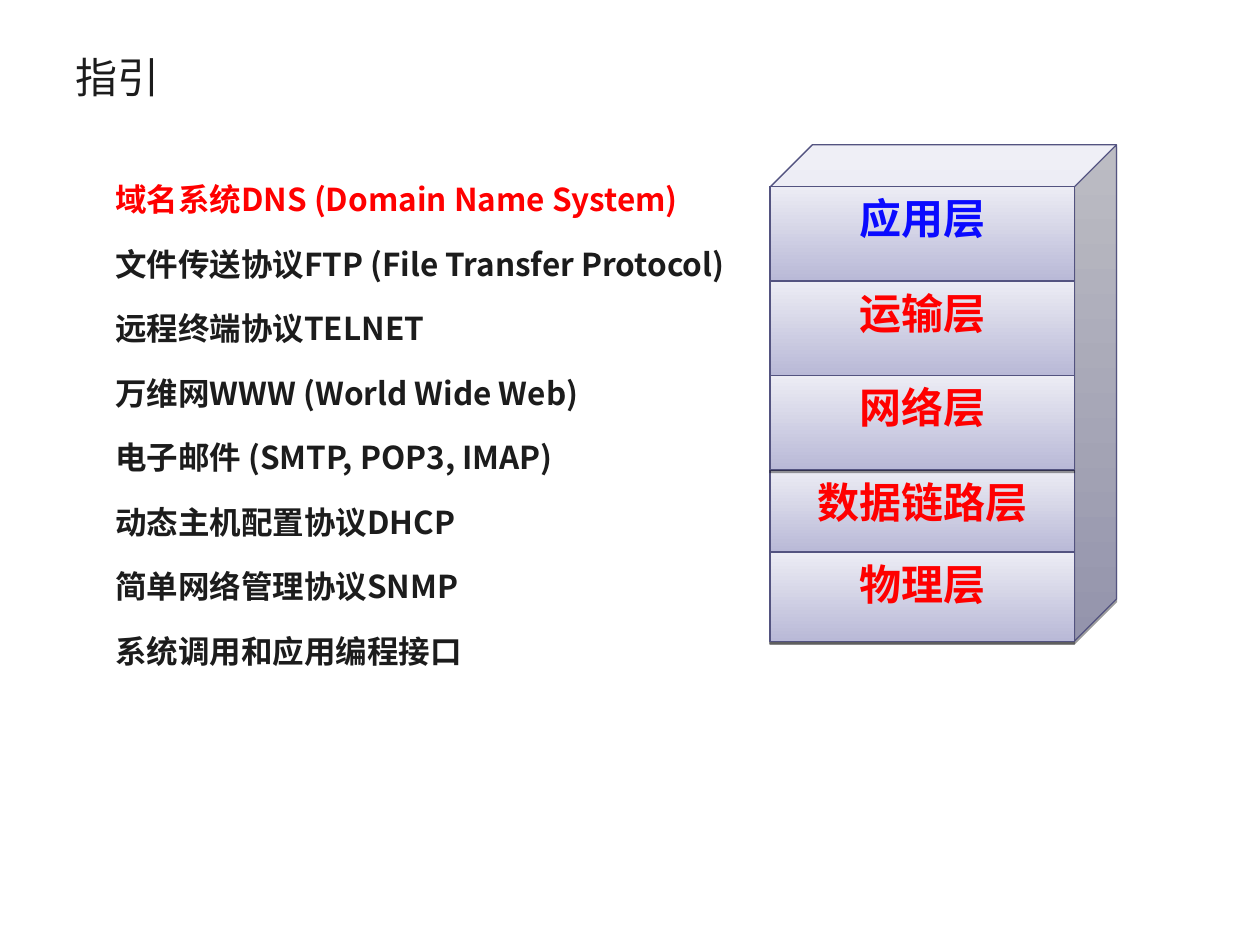
from lxml.etree import SubElement
from pptx import Presentation
from pptx.dml.color import RGBColor
from pptx.enum.shapes import MSO_CONNECTOR, MSO_SHAPE
from pptx.enum.text import MSO_ANCHOR, PP_ALIGN
from pptx.oxml.ns import qn
from pptx.util import Pt

INK = RGBColor(0x1C, 0x1C, 0x1C)
RED = RGBColor(0xFF, 0x00, 0x00)
BLUE = RGBColor(0x0A, 0x0A, 0xFF)
EDGE = RGBColor(0x53, 0x53, 0x80)
LAVENDER = RGBColor(0xB9, 0xB9, 0xD7)
PALE = RGBColor(0xEC, 0xEC, 0xF4)

CJK_FONT = "Noto Sans CJK SC"
LATIN_FONT = "Roboto"

TOPICS = [
    "域名系统DNS (Domain Name System)",
    "文件传送协议FTP (File Transfer Protocol)",
    "远程终端协议TELNET",
    "万维网WWW (World Wide Web)",
    "电子邮件 (SMTP, POP3, IMAP)",
    "动态主机配置协议DHCP",
    "简单网络管理协议SNMP",
    "系统调用和应用编程接口",
]

STACK_LEFT, STACK_WIDTH = 440, 174
LAYERS = [
    ("应用层", 106.5, 54, CJK_FONT, BLUE),
    ("运输层", 160.5, 54, CJK_FONT, RED),
    ("数据链路层", 268.5, 47, LATIN_FONT, RED),
    ("网络层", 214.5, 54, LATIN_FONT, RED),
    ("物理层", 315.5, 51, LATIN_FONT, RED),
]


def format_text(para, size, color, bold=False, font=CJK_FONT):
    """Format every run of a paragraph, for Latin and East Asian text."""
    for span in para.runs:
        span.font.size = Pt(size)
        span.font.bold = bold
        span.font.color.rgb = color
        span.font.name = font
        SubElement(span.font._element, qn("a:ea"), typeface=CJK_FONT)


def add_title(page, text):
    """Place and format the title placeholder."""
    title = page.shapes.title
    title.left, title.top, title.width, title.height = Pt(36), Pt(21.6), Pt(648), Pt(44)
    frame = title.text_frame
    frame.text = text
    frame.vertical_anchor = MSO_ANCHOR.MIDDLE
    frame.paragraphs[0].alignment = PP_ALIGN.LEFT
    format_text(frame.paragraphs[0], 24, INK)


def add_topics(page, topics):
    """Add the list of topics with the first one highlighted."""
    box = page.shapes.add_textbox(Pt(31), Pt(88.5), Pt(556.5), Pt(356.5))
    frame = box.text_frame
    frame.word_wrap = True
    frame.text = "\n".join(topics)
    for index, para in enumerate(frame.paragraphs):
        properties = para._p.get_or_add_pPr()
        properties.set("marL", str(Pt(27)))
        properties.set("indent", str(Pt(0.75)))
        para.line_spacing = 1.5
        para.space_before = Pt(4.5 if index else 0)
        format_text(para, 18, INK if index else RED, bold=True)


def add_block(group, preset, left, top, width, height):
    """Add a shaded block with a gradient, an outline and a hard shadow."""
    block = group.shapes.add_shape(preset, Pt(left), Pt(top), Pt(width), Pt(height))
    block.fill.gradient()
    block.fill.gradient_angle = 90
    for stop, color, position in zip(block.fill.gradient_stops, (LAVENDER, PALE), (0, 1)):
        stop.color.rgb = color
        stop.position = position
    block.line.color.rgb = EDGE
    block.line.width = Pt(0.75)
    block.shadow.inherit = False
    effects = block._element.spPr.find(qn("a:effectLst"))
    shadow = SubElement(effects, qn("a:outerShdw"), blurRad="0", dist=str(Pt(1.6)),
                        dir="5400000", rotWithShape="0")
    black = SubElement(shadow, qn("a:srgbClr"), val="000000")
    SubElement(black, qn("a:alpha"), val="38000")
    return block


def add_edge(group, x1, y1, x2, y2):
    """Add a thin straight edge line."""
    edge = group.shapes.add_connector(MSO_CONNECTOR.STRAIGHT, Pt(x1), Pt(y1), Pt(x2), Pt(y2))
    edge.line.color.rgb = EDGE
    edge.line.width = Pt(0.75)
    SubElement(edge._element.spPr, qn("a:effectLst"))


def add_layer(group, name, top, height, font, color):
    """Add one named layer with its top and side edges."""
    right, bottom = STACK_LEFT + STACK_WIDTH, top + height
    layer = add_block(group, MSO_SHAPE.RECTANGLE, STACK_LEFT, top, STACK_WIDTH, height)
    frame = layer.text_frame
    frame.text = name
    frame.vertical_anchor = MSO_ANCHOR.TOP
    frame.paragraphs[0].alignment = PP_ALIGN.CENTER
    format_text(frame.paragraphs[0], 24, color, bold=True, font=font)
    add_edge(group, STACK_LEFT, top, right, top)
    for x in (STACK_LEFT, right):
        add_edge(group, x, top, x, bottom)


def add_stack(page):
    """Add the cube of network layers."""
    group = page.shapes.add_group_shape()
    cube = add_block(group, MSO_SHAPE.CUBE, STACK_LEFT, 82.8, 198, 283.7)
    cube.adjustments[0] = 0.122
    for layer in LAYERS:
        add_layer(group, *layer)


def main():
    """Build and save the slide."""
    deck = Presentation()
    deck.slide_width, deck.slide_height = Pt(720), Pt(540)
    page = deck.slides.add_slide(deck.slide_layouts[5])
    add_topics(page, TOPICS)
    add_title(page, "指引")
    add_stack(page)
    deck.save("out.pptx")


if __name__ == "__main__":
    main()
